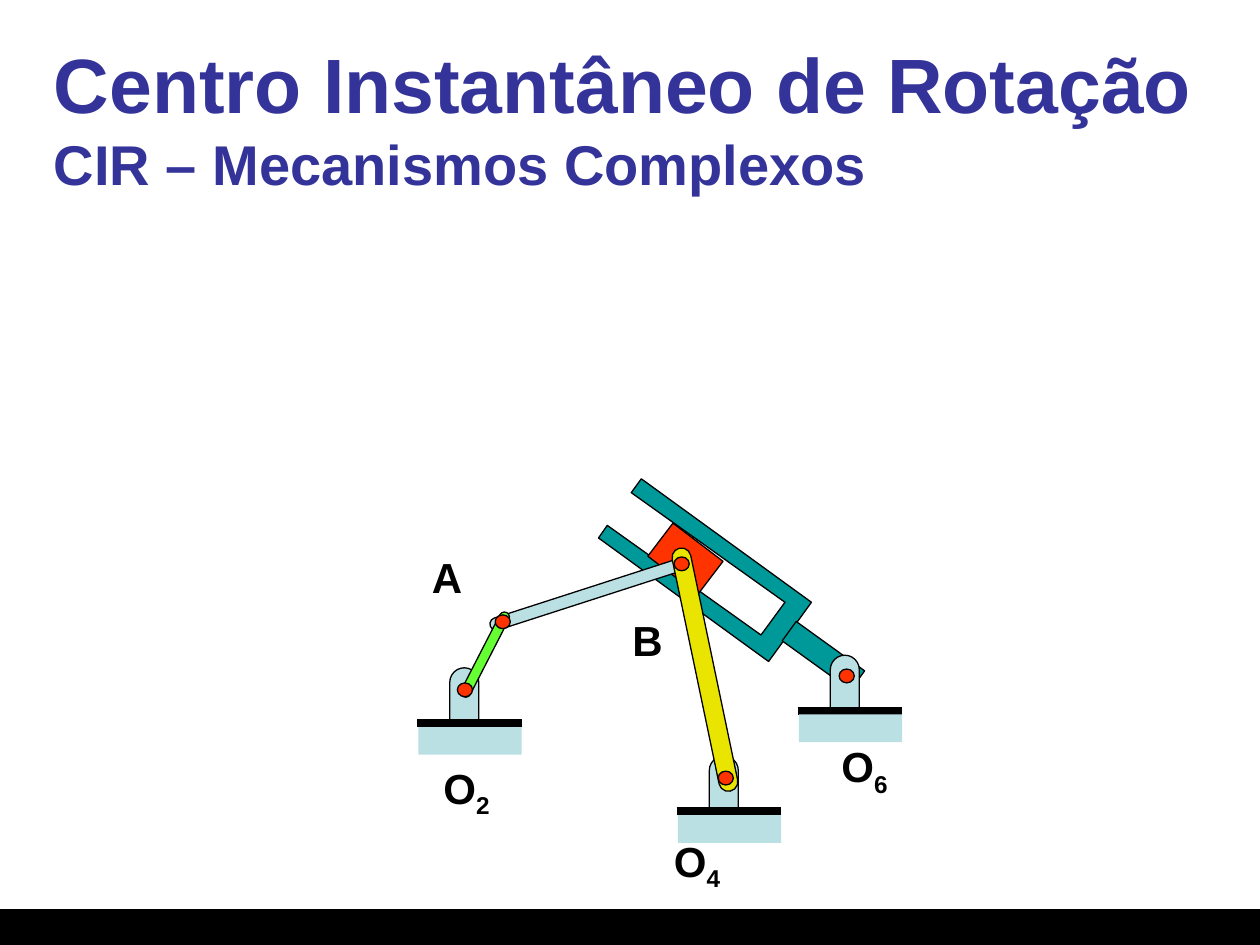
import pptx
import pptx.dml.color
import pptx.enum.shapes
import pptx.enum.text
import pptx.oxml.ns
import pptx.util
from lxml import etree

Inches = pptx.util.Inches
RGBColor = pptx.dml.color.RGBColor
Shapes = pptx.enum.shapes.MSO_SHAPE
Anchor = pptx.enum.text.MSO_ANCHOR
AutoSize = pptx.enum.text.MSO_AUTO_SIZE

BLACK = RGBColor(0x00, 0x00, 0x00)
NAVY = RGBColor(0x33, 0x33, 0x99)
TEAL = RGBColor(0x00, 0x99, 0x99)
RED = RGBColor(0xFF, 0x33, 0x00)
PALE_BLUE = RGBColor(0xBB, 0xE0, 0xE3)
GREEN = RGBColor(0x66, 0xFF, 0x33)
YELLOW = RGBColor(0xE9, 0xE4, 0x00)

FORK = [(4.82, 4.17), (6.04, 5.04), (6.23, 4.78), (5.01, 3.91), (5.09, 3.8),
        (6.44, 4.78), (6.1, 5.25), (4.75, 4.27)]
PINS = [(5.35, 4.42), (3.93, 4.88), (3.63, 5.42), (5.7, 6.12), (6.66, 5.31)]
JOINT_LABELS = [("O", "2", 3.42, 6, 0.58), ("O", "4", 5.25, 6.58, 0.58),
                ("B", "", 4.92, 4.83, 0.44), ("A", "", 3.33, 4.33, 0.44),
                ("O", "6", 6.58, 5.83, 0.58)]


class MechanismSlide:
    font_name = "Arial"
    outline = pptx.util.Pt(0.75)

    def __init__(self, deck):
        self.slide = deck.slides.add_slide(deck.slide_layouts[6])
        self.shapes = self.slide.shapes

    def paint(self, shape, fill, outlined=True):
        shape.shadow.inherit = False
        shape.fill.solid()
        shape.fill.fore_color.rgb = fill
        if outlined:
            shape.line.color.rgb = BLACK
            shape.line.width = self.outline
        else:
            shape.line.fill.background()

    def preset(self, kind, left, top, width, height, fill, rotation=0, outlined=True):
        shape = self.shapes.add_shape(
            kind, Inches(left), Inches(top), Inches(width), Inches(height))
        shape.rotation = rotation
        self.paint(shape, fill, outlined)
        return shape

    def bar(self, left, top, width, height, fill, rotation=0):
        """Draw a link with fully rounded ends."""
        shape = self.preset(Shapes.ROUNDED_RECTANGLE, left, top, width, height, fill, rotation)
        shape.adjustments[0] = 0.5

    def polygon(self, points, fill):
        corners = [(Inches(x), Inches(y)) for x, y in points]
        builder = self.shapes.build_freeform(*corners[0])
        builder.add_line_segments(corners[1:], close=True)
        self.paint(builder.convert_to_shape(), fill)

    def ground_line(self, left, top, width):
        line = self.shapes.add_connector(
            pptx.enum.shapes.MSO_CONNECTOR.STRAIGHT,
            Inches(left), Inches(top), Inches(left + width), Inches(top))
        line.line.color.rgb = BLACK
        line.line.width = pptx.util.Pt(4.5)
        etree.SubElement(line._element.spPr, pptx.oxml.ns.qn("a:effectLst"))

    def support(self, left, top):
        """Draw a fixed pivot: bracket, ground line and base block."""
        self.bar(left, top, 0.23, 0.65, PALE_BLUE)
        self.ground_line(left - 0.26, top + 0.44, 0.83)
        self.preset(Shapes.RECTANGLE, left - 0.25, top + 0.47, 0.82, 0.22,
                    PALE_BLUE, outlined=False)

    def pin(self, left, top):
        self.preset(Shapes.OVAL, left, top, 0.12, 0.11, RED)

    def text_box(self, left, top, width, height, **frame_format):
        box = self.shapes.add_textbox(
            Inches(left), Inches(top), Inches(width), Inches(height))
        for name, value in frame_format.items():
            setattr(box.text_frame, name, value)
        return box.text_frame.paragraphs[0]

    def span(self, para, text, size, color):
        span = para.add_run()
        span.text = text
        font_format = {"name": self.font_name, "size": pptx.util.Pt(size), "bold": True}
        for name, value in font_format.items():
            setattr(span.font, name, value)
        span.font.color.rgb = color
        return span

    def title(self, heading, subheading):
        para = self.text_box(0.33, 0.3, 9.33, 1.25, word_wrap=True,
                             vertical_anchor=Anchor.MIDDLE)
        self.span(para, heading, 44, NAVY)
        para.add_line_break()
        self.span(para, subheading, 32, NAVY)

    def label(self, letter, subscript, left, top, width):
        para = self.text_box(left, top, width, 0.5, word_wrap=False,
                             auto_size=AutoSize.SHAPE_TO_FIT_TEXT)
        self.span(para, letter, 24, BLACK)
        if subscript:
            index = self.span(para, subscript, 24, BLACK)
            index.font._element.set("baseline", "-25000")


def main():
    deck = pptx.Presentation()
    deck.slide_width, deck.slide_height = Inches(10), Inches(7.5)
    page = MechanismSlide(deck)

    page.preset(Shapes.RECTANGLE, 0, 7.22, 10, 0.28, BLACK)
    page.polygon(FORK, TEAL)
    page.preset(Shapes.RECTANGLE, 6.44, 4.87, 0.19, 0.67, TEAL, 305.8)
    page.preset(Shapes.RECTANGLE, 5.19, 4.27, 0.5, 0.33, RED, 37.3)
    for left, top in [(3.57, 5.3), (5.63, 6), (6.59, 5.2)]:
        page.support(left, top)
    page.bar(4.64, 3.87, 0.1, 1.68, PALE_BLUE, 72.1)
    page.bar(3.81, 4.82, 0.08, 0.75, GREEN, 207.2)
    page.bar(5.52, 4.33, 0.15, 1.97, YELLOW, 348.2)
    for left, top in PINS:
        page.pin(left, top)

    page.title("Centro Instantâneo de Rotação", "CIR – Mecanismos Complexos")
    for joint in JOINT_LABELS:
        page.label(*joint)

    deck.save("out.pptx")


if __name__ == "__main__":
    main()
